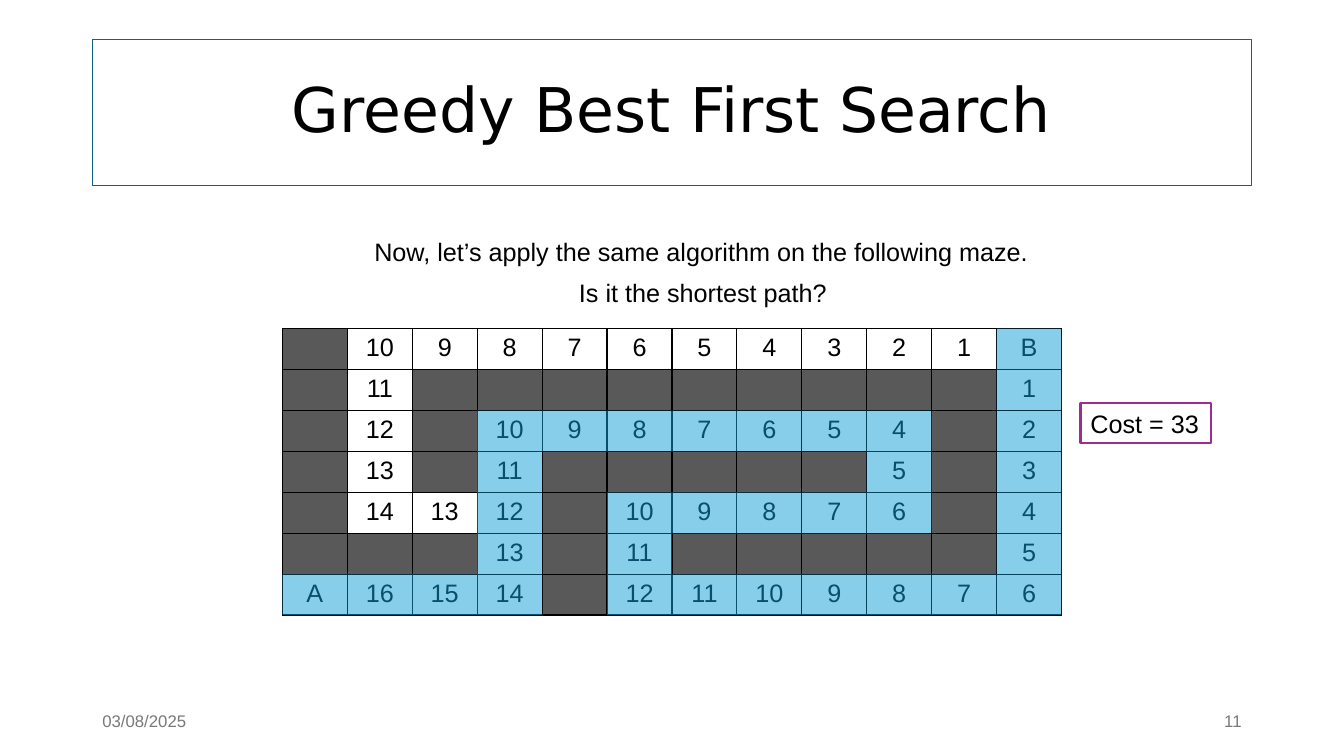
from itertools import pairwise

from lxml.etree import SubElement
from pptx import Presentation
from pptx.dml.color import RGBColor
from pptx.enum.shapes import MSO_SHAPE
from pptx.enum.text import MSO_ANCHOR, MSO_AUTO_SIZE, PP_ALIGN
from pptx.oxml.ns import qn
from pptx.util import Pt

PX = 9525
HUES = {
    "ink": "000000",
    "paper": "FFFFFF",
    "wall": "595959",
    "route": "0F9ED5",
    "frame": "156082",
    "cost": "A02B93",
    "foot": "797979",
}
MAZE = """
# 10 9 8 7 6 5 4 3 2 1 B
# 11 # # # # # # # # # 1
# 12 # 10 9 8 7 6 5 4 # 2
# 13 # 11 # # # # # 5 # 3
# 14 13 12 # 10 9 8 7 6 # 4
# # # 13 # 11 # # # # # 5
A 16 15 14 # 12 11 10 9 8 7 6
"""
TURNS = [(6, 0), (6, 3), (2, 3), (2, 9), (4, 9), (4, 5), (6, 5), (6, 11), (0, 11)]


def scale(box):
    return [n * PX for n in box]


def tint(name):
    return RGBColor.from_string(HUES[name])


def paint(thing, name):
    thing.fill.solid()
    thing.fill.fore_color.rgb = tint(name)


def style(para, size, hue="ink", align=PP_ALIGN.LEFT, face="Arial"):
    para.alignment = align
    para.font.size = Pt(size)
    para.font.name = face
    para.font.color.rgb = tint(hue)


def edge(shape, name, width):
    shape.line.color.rgb = tint(name)
    shape.line.width = Pt(width)


def add_title(slide, box):
    title = slide.shapes.title
    title.left, title.top, title.width, title.height = scale(box)
    edge(title, "frame", 0.75)
    frame = title.text_frame
    frame.text = "Greedy Best First Search"
    frame.vertical_anchor = MSO_ANCHOR.MIDDLE
    para = frame.paragraphs[0]
    para.line_spacing = 0.9
    style(para, 44, align=PP_ALIGN.CENTER, face="DejaVu Sans")


def add_foot(slide, box, text, align):
    frame = slide.shapes.add_textbox(*scale(box)).text_frame
    frame.text = text
    frame.word_wrap = True
    frame.vertical_anchor = MSO_ANCHOR.MIDDLE
    style(frame.paragraphs[0], 12, "foot", align)


def write(shape, text):
    frame = shape.text_frame
    frame.text = text
    frame.word_wrap = False
    frame.auto_size = MSO_AUTO_SIZE.SHAPE_TO_FIT_TEXT
    frame.vertical_anchor = MSO_ANCHOR.TOP
    style(frame.paragraphs[0], 18)


def add_note(slide, box, text):
    write(slide.shapes.add_textbox(*scale(box)), text)


def add_cost(slide, box):
    shape = slide.shapes.add_shape(MSO_SHAPE.RECTANGLE, *scale(box))
    shape.shadow.inherit = False
    paint(shape, "paper")
    edge(shape, "cost", 1.5)
    write(shape, "Cost = 33")


def rule(cell):
    props = cell._tc.get_or_add_tcPr()
    for side in ("lnL", "lnR", "lnT", "lnB"):
        line = SubElement(props, qn(f"a:{side}"), w=str(Pt(1)))
        fill = SubElement(line, qn("a:solidFill"))
        SubElement(fill, qn("a:srgbClr"), val=HUES["ink"])


def walk(turns):
    yield turns[0]
    for (row, col), (last, end) in pairwise(turns):
        down = (last > row) - (last < row)
        right = (end > col) - (end < col)
        while (row, col) != (last, end):
            row, col = row + down, col + right
            yield row, col


def add_maze(slide, box):
    left, top, width, height = scale(box)
    rows = [line.split() for line in MAZE.strip().splitlines()]
    wide, high = width // len(rows[0]), height // len(rows)
    grid = slide.shapes.add_table(len(rows), len(rows[0]), left, top, width, height).table
    grid.first_row = grid.horz_banding = False
    for col in grid.columns:
        col.width = wide
    for row, marks in enumerate(rows):
        grid.rows[row].height = high
        for col, mark in enumerate(marks):
            cell = grid.cell(row, col)
            rule(cell)
            paint(cell, "wall" if mark == "#" else "paper")
            if mark != "#":
                cell.text = mark
            style(cell.text_frame.paragraphs[0], 18, align=PP_ALIGN.CENTER)
    for row, col in walk(TURNS):
        tile = slide.shapes.add_shape(
            MSO_SHAPE.RECTANGLE, left + col * wide, top + row * high, wide, high
        )
        tile.shadow.inherit = False
        paint(tile, "route")
        tile.line.fill.background()
        hue = tile._element.spPr.find(f"{qn('a:solidFill')}/{qn('a:srgbClr')}")
        SubElement(hue, qn("a:alpha"), val="50000")


def main():
    deck = Presentation()
    deck.slide_width, deck.slide_height = scale((1280, 720))
    slide = deck.slides.add_slide(deck.slide_layouts[5])
    add_title(slide, (88, 38, 1104, 139))
    add_foot(slide, (88, 667, 288, 38), "03/08/2025", PP_ALIGN.LEFT)
    add_foot(slide, (904, 667, 288, 38), "11", PP_ALIGN.RIGHT)
    add_maze(slide, (269, 313, 742, 273))
    add_note(slide, (347, 220, 648, 38), "Now, let’s apply the same algorithm on the following maze.")
    add_note(slide, (542, 259, 257, 38), "Is it the shortest path?")
    add_cost(slide, (1029, 384, 124, 38))
    deck.save("out.pptx")


if __name__ == "__main__":
    main()
